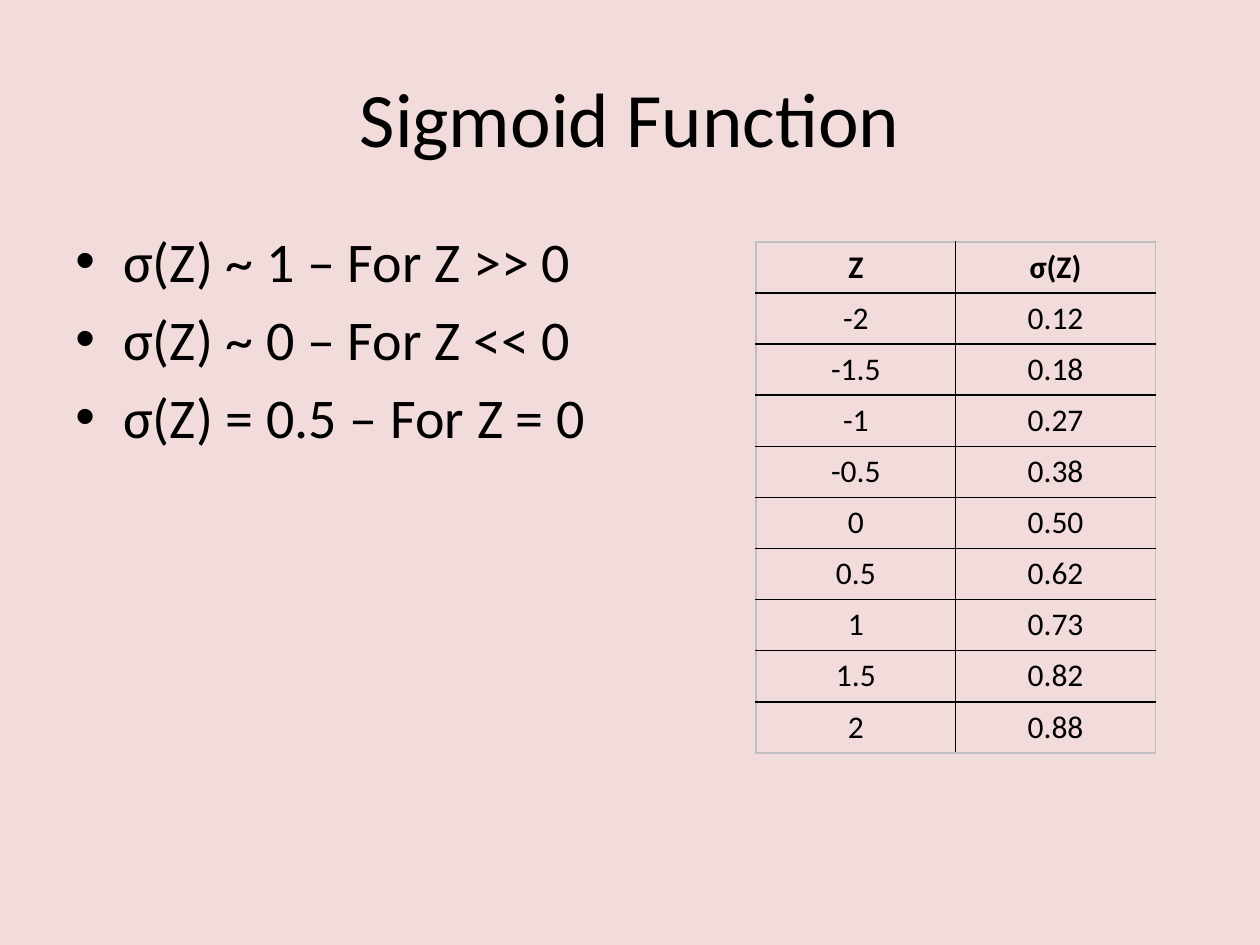
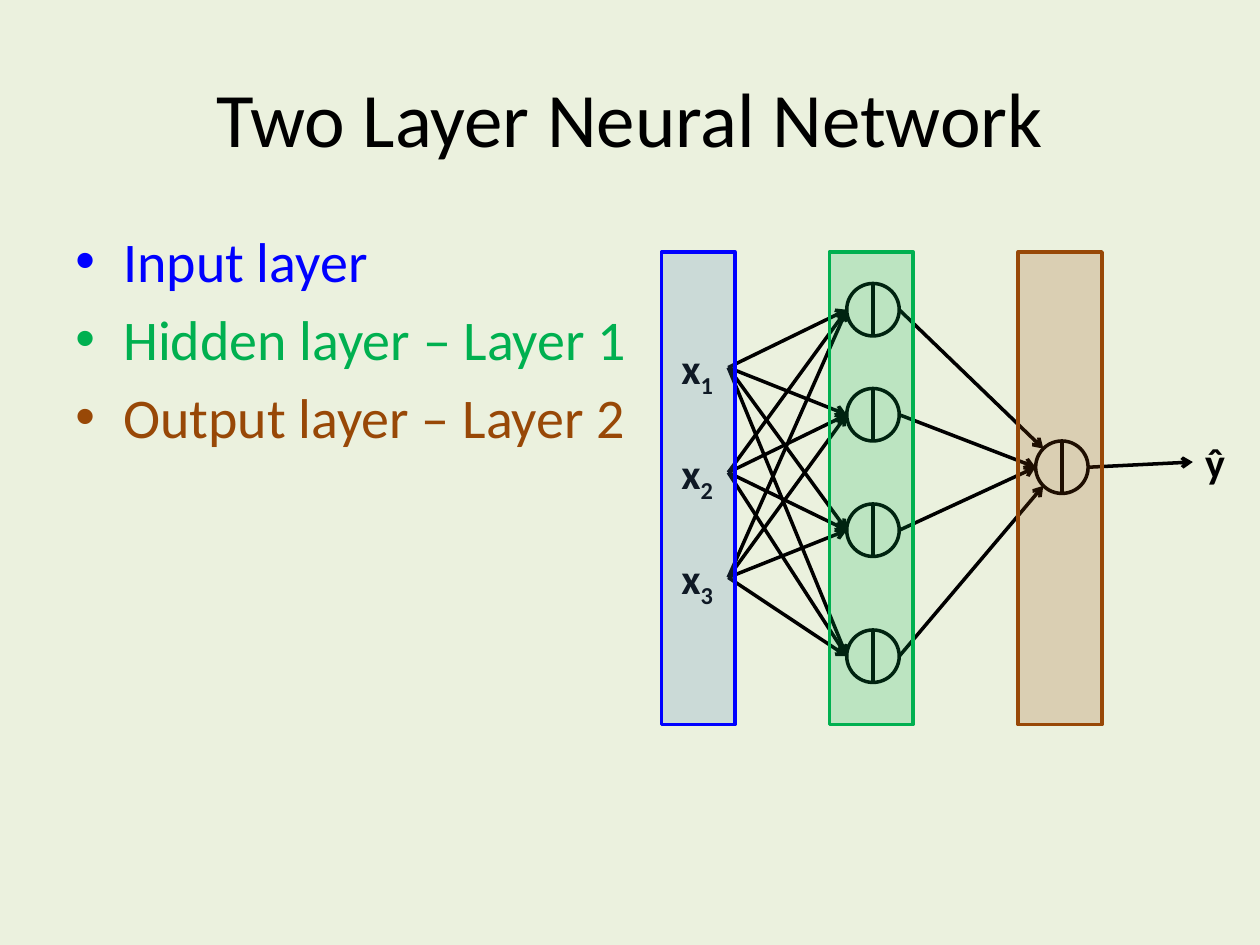
from collections import namedtuple
from itertools import product
from math import cos, radians, sin

from lxml.etree import SubElement
from pptx import Presentation
from pptx.dml.color import RGBColor
from pptx.enum.shapes import MSO_CONNECTOR, MSO_SHAPE
from pptx.enum.text import MSO_ANCHOR, PP_ALIGN
from pptx.oxml.ns import qn
from pptx.util import Emu, Inches, Pt

FONT = "Calibri"
BLACK = RGBColor(0x00, 0x00, 0x00)
GREY = RGBColor(0xBF, 0xBF, 0xBF)
PINK = RGBColor(0xF2, 0xDC, 0xDB)
PALE_GREEN = RGBColor(0xEB, 0xF1, 0xDE)
STEEL = RGBColor(0x4F, 0x81, 0xBD)
BLUE = RGBColor(0x00, 0x00, 0xFF)
GREEN = RGBColor(0x00, 0xB0, 0x50)
BROWN = RGBColor(0x98, 0x48, 0x07)

SLIDE_WIDTH, SLIDE_HEIGHT = Inches(10), Inches(7.5)
Box = namedtuple("Box", "left top width height")


def slide_box(left, top, width, height):
    """Box from shares of the slide's width and height."""
    return Box(Emu(int(left * SLIDE_WIDTH)), Emu(int(top * SLIDE_HEIGHT)),
               Emu(int(width * SLIDE_WIDTH)), Emu(int(height * SLIDE_HEIGHT)))


TITLE_BOX = slide_box(0.05, 0.04, 0.9, 1 / 6)
BODY_BOX = slide_box(0.05, 0.7 / 3, 0.9, 0.66)
WIDE_BODY_BOX = BODY_BOX._replace(width=Inches(9.17))
TABLE_BOX = slide_box(0.6, 0.256, 0.317, 0.541)
NETWORK_BOX = slide_box(0.525, 0.8 / 3, 0.458, 0.5)


# Shared text, title and line helpers
def add_run(paragraph, text, size=18, color=BLACK, bold=False, baseline=None):
    run = paragraph.add_run()
    run.text = text
    font = run.font
    font.name, font.size, font.bold = FONT, Pt(size), bold
    font.color.rgb = color
    if baseline:
        font._element.set("baseline", str(baseline * 1000))


def add_titled_slide(presentation, title, background):
    slide = presentation.slides.add_slide(presentation.slide_layouts[5])
    slide.background.fill.solid()
    slide.background.fill.fore_color.rgb = background
    shape = slide.shapes.title
    shape.left, shape.top, shape.width, shape.height = TITLE_BOX
    frame = shape.text_frame
    frame.vertical_anchor = MSO_ANCHOR.MIDDLE
    frame.paragraphs[0].alignment = PP_ALIGN.CENTER
    add_run(frame.paragraphs[0], title, size=44)
    return slide


def add_bullets(slide, box, items):
    frame = slide.shapes.add_textbox(*box).text_frame
    frame.word_wrap = True
    for index, (text, color) in enumerate(items):
        paragraph = frame.add_paragraph() if index else frame.paragraphs[0]
        paragraph.space_before = Pt(6)
        properties = paragraph._p.get_or_add_pPr()
        properties.set("marL", str(Inches(0.38)))
        properties.set("indent", str(-Inches(0.38)))
        SubElement(properties, qn("a:buFont")).set("typeface", "Arial")
        SubElement(properties, qn("a:buChar")).set("char", "•")
        add_run(paragraph, text, size=32, color=color)


def add_line(slide, start, end, arrow=False):
    line = slide.shapes.add_connector(MSO_CONNECTOR.STRAIGHT, *start, *end)
    line.line.color.rgb = BLACK
    line.line.width = Pt(2)
    if arrow:
        SubElement(line.line._get_or_add_ln(), qn("a:tailEnd")).set("type", "arrow")
    SubElement(line._element.spPr, qn("a:effectLst"))


def add_outline(slide, kind, box, color, fill=None, opacity=20):
    shape = slide.shapes.add_shape(kind, *box)
    shape.shadow.inherit = False
    shape.line.color.rgb = color
    shape.line.width = Pt(2)
    if fill is None:
        shape.fill.background()
    else:
        shape.fill.solid()
        shape.fill.fore_color.rgb = fill
        color_element = shape._element.spPr.find(qn("a:solidFill"))[0]
        SubElement(color_element, qn("a:alpha")).set("val", str(opacity * 1000))


# Table of sigmoid values
def set_borders(cell, edge_colors):
    properties = cell._tc.get_or_add_tcPr()
    for side, color in edge_colors.items():
        line = SubElement(properties, qn(f"a:ln{side}"), w=str(Pt(1)))
        fill = SubElement(line, qn("a:solidFill"))
        SubElement(fill, qn("a:srgbClr")).set("val", str(color))


def add_value_table(slide, box, rows):
    row_count, column_count = len(rows), len(rows[0])
    table = slide.shapes.add_table(row_count, column_count, *box).table
    table.first_row = table.horz_banding = False
    for row, column in product(range(row_count), range(column_count)):
        cell = table.cell(row, column)
        outer_edges = {"L": column == 0, "R": column == column_count - 1,
                       "T": row == 0, "B": row == row_count - 1}
        set_borders(cell, {side: GREY if outer else BLACK
                           for side, outer in outer_edges.items()})
        cell.fill.background()
        paragraph = cell.text_frame.paragraphs[0]
        paragraph.alignment = PP_ALIGN.CENTER
        add_run(paragraph, rows[row][column], bold=row == 0)


# Network diagram on a grid of 55 columns and 45 rows
def add_network(slide, box):
    node_size = 5
    radius = node_size / 2
    hidden_x, output_x, output_y = 20.16, 38.16, 20.5
    input_rows = (11, 21, 31)
    hidden_rows = (5.5, 15.5, 26.5, 38.5)

    def point(column, row):
        return (Emu(int(box.left + column * box.width / 55)),
                Emu(int(box.top + row * box.height / 45)))

    def area(column, row, columns, rows):
        left, top = point(column, row)
        right, bottom = point(column + columns, row + rows)
        return Box(left, top, right - left, bottom - top)

    def add_label(column, row, columns, text, subscript=None):
        frame = slide.shapes.add_textbox(*area(column, row, columns, 6)).text_frame
        frame.word_wrap = False
        add_run(frame.paragraphs[0], text, size=24, bold=True)
        if subscript:
            add_run(frame.paragraphs[0], subscript, size=24, bold=True, baseline=-25)

    def add_node(x, y):
        add_outline(slide, MSO_SHAPE.OVAL,
                    area(x - radius, y - radius, node_size, node_size), BLACK)
        add_line(slide, point(x, y - radius), point(x, y + radius))

    # Labels
    for number, row in enumerate(input_rows, 1):
        add_label(0.72, row - 3, 5.64, "x", str(number))
    add_label(50.64, 17, 4.32, "ŷ")

    # Nodes
    for row in hidden_rows:
        add_node(hidden_x, row)
    add_node(output_x, output_y)

    # Arrows, the outermost ones meeting the output node at 45 degrees
    for start_row, end_row in product(input_rows, hidden_rows):
        add_line(slide, point(6.36, start_row), point(hidden_x - radius, end_row), arrow=True)
    for row, angle in zip(hidden_rows, (-45, 0, 0, 45)):
        end = point(output_x - radius * cos(radians(angle)),
                    output_y + radius * sin(radians(angle)))
        add_line(slide, point(hidden_x + radius, row), end, arrow=True)
    add_line(slide, point(output_x + radius, output_y), point(50.64, 20), arrow=True)

    # Translucent layer bands
    for column, columns, fill, line in ((0, 7, STEEL, BLUE), (16, 8, GREEN, GREEN),
                                        (34, 8, BROWN, BROWN)):
        add_outline(slide, MSO_SHAPE.RECTANGLE, area(column, 0, columns, 45), line, fill)


def build_sigmoid_slide(presentation):
    slide = add_titled_slide(presentation, "Sigmoid Function", PINK)
    add_bullets(slide, BODY_BOX, [("σ(Z) ~ 1 – For Z >> 0", BLACK),
                                  ("σ(Z) ~ 0 – For Z << 0", BLACK),
                                  ("σ(Z) = 0.5 – For Z = 0", BLACK)])
    add_value_table(slide, TABLE_BOX, [
        ("Z", "σ(Z)"), ("-2", "0.12"), ("-1.5", "0.18"), ("-1", "0.27"),
        ("-0.5", "0.38"), ("0", "0.50"), ("0.5", "0.62"), ("1", "0.73"),
        ("1.5", "0.82"), ("2", "0.88")])


def build_network_slide(presentation):
    slide = add_titled_slide(presentation, "Two Layer Neural Network", PALE_GREEN)
    add_bullets(slide, WIDE_BODY_BOX, [("Input layer", BLUE),
                                       ("Hidden layer – Layer 1", GREEN),
                                       ("Output layer – Layer 2", BROWN)])
    add_network(slide, NETWORK_BOX)


def main():
    presentation = Presentation()
    presentation.slide_width, presentation.slide_height = SLIDE_WIDTH, SLIDE_HEIGHT
    build_sigmoid_slide(presentation)
    build_network_slide(presentation)
    presentation.save("out.pptx")


if __name__ == "__main__":
    main()
